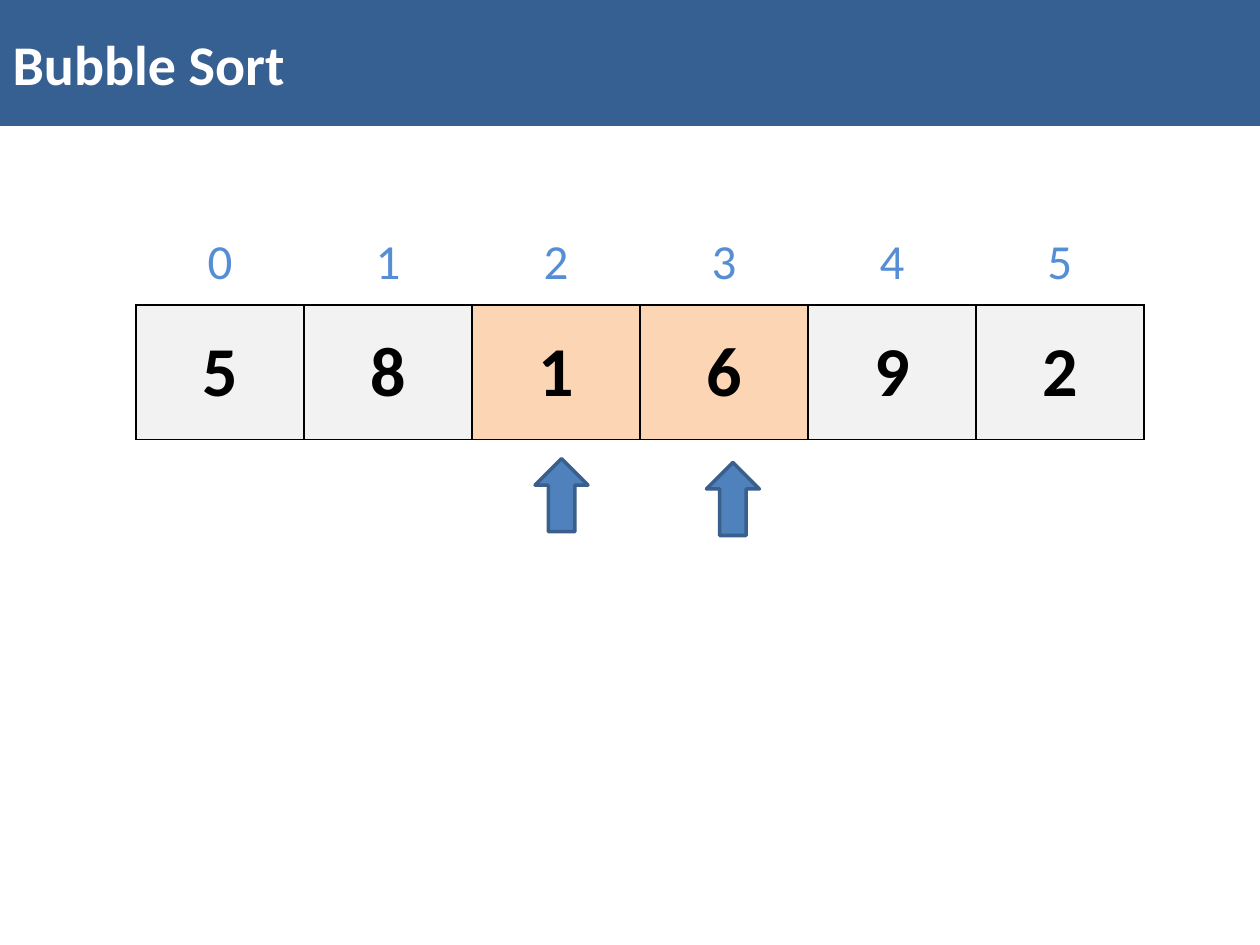
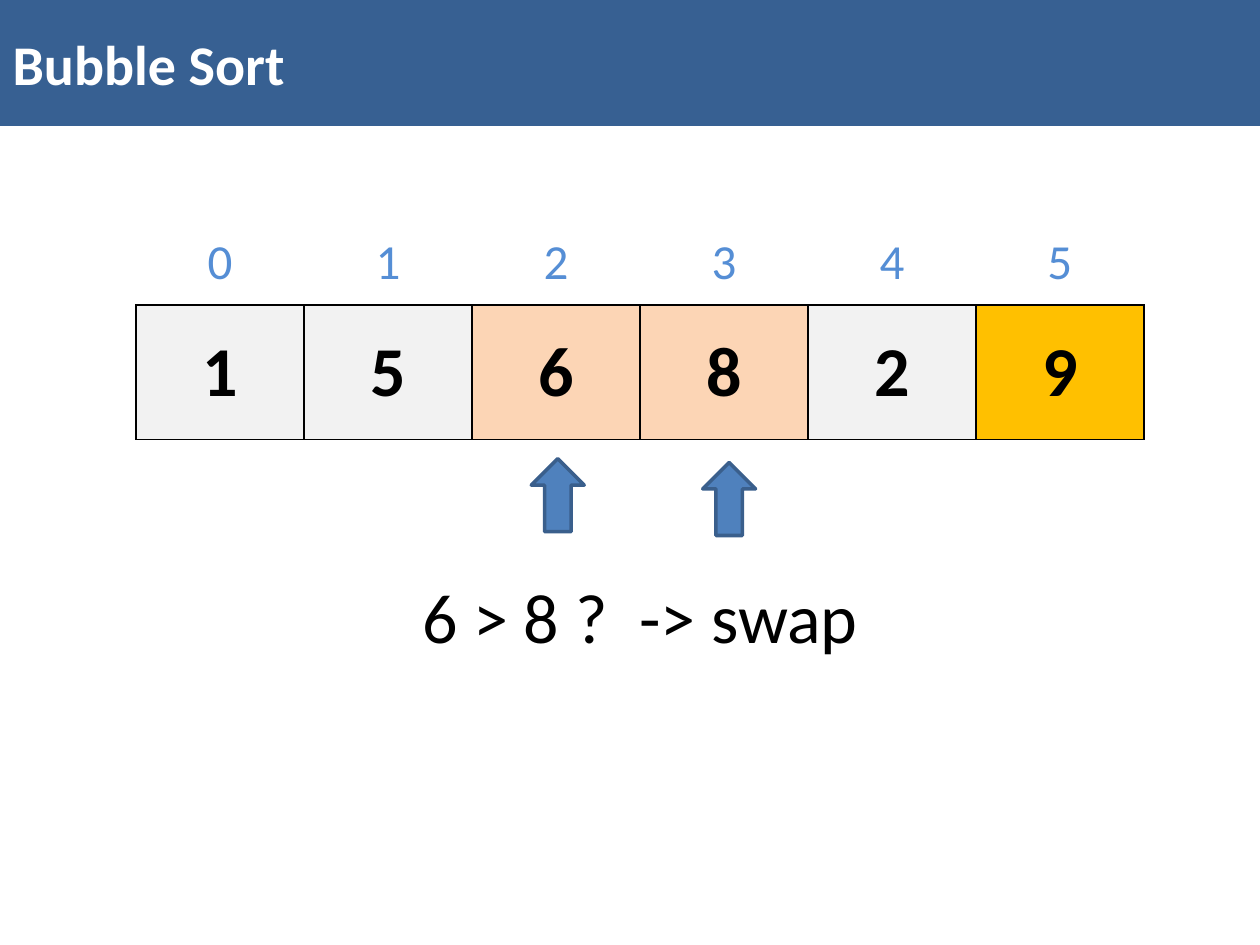
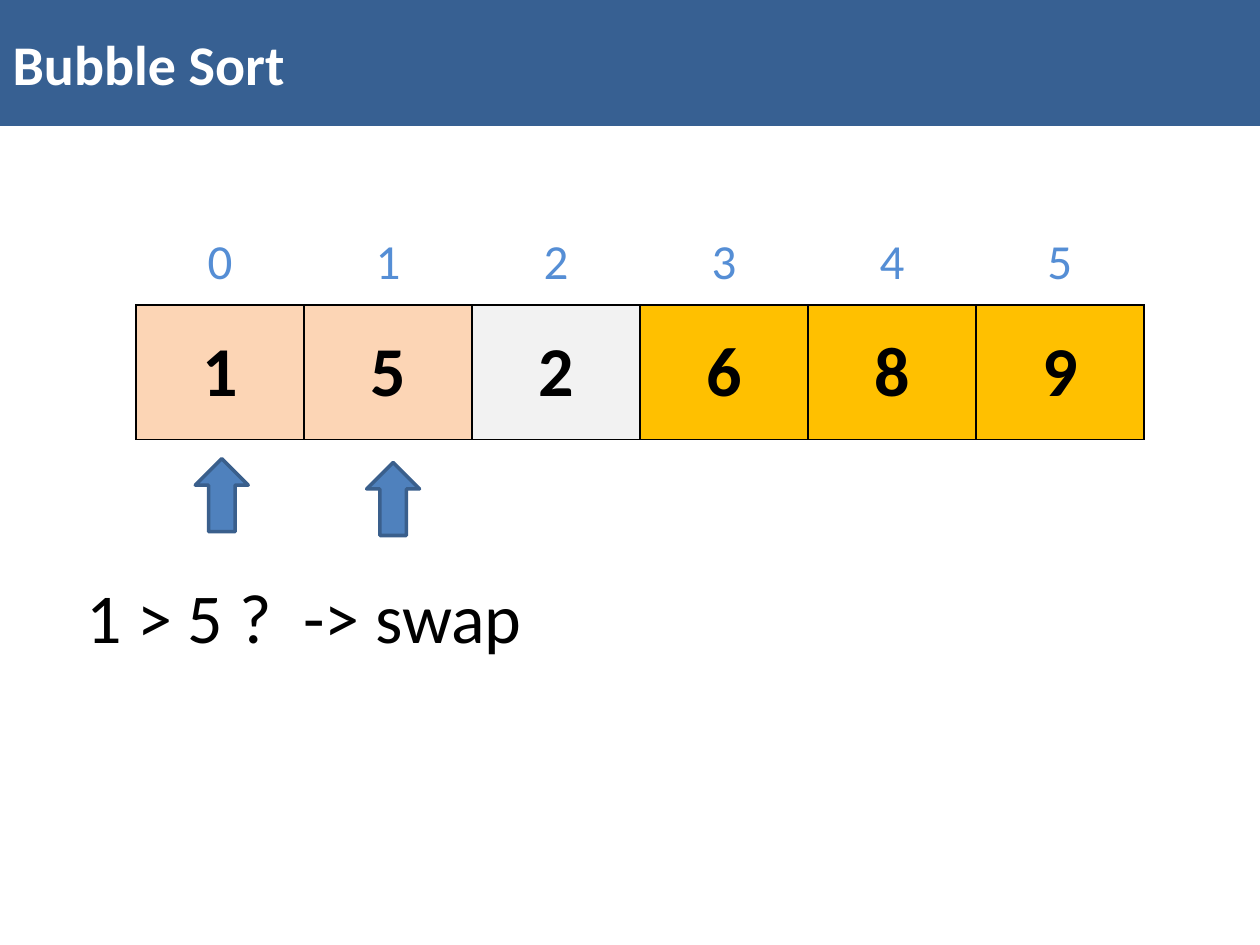
from lxml.etree import SubElement
from pptx import Presentation
from pptx.dml.color import RGBColor
from pptx.enum.shapes import MSO_SHAPE
from pptx.enum.text import MSO_ANCHOR, MSO_AUTO_SIZE, PP_ALIGN
from pptx.oxml.ns import qn
from pptx.util import Inches, Pt

# Colours and font
FONT = "Calibri"
BLACK = RGBColor(0, 0, 0)
WHITE = RGBColor(255, 255, 255)
BAND = RGBColor(0x37, 0x60, 0x92)
INDEX = RGBColor(0x55, 0x8E, 0xD5)
ARROW = RGBColor(0x4F, 0x81, 0xBD)
EDGE = RGBColor(0x3A, 0x5F, 0x8C)
PLAIN = RGBColor(0xF2, 0xF2, 0xF2)
PAIR = RGBColor(0xFC, 0xD5, 0xB5)
DONE = RGBColor(0xFF, 0xC0, 0)

# Array grid, in inches
COUNT = 6
LEFT, WIDTH = 1.08, 8
CELL = WIDTH / COUNT

# Values, first index of the pair, sorted count, arrow shift, question
STEPS = [
    ("581692", 2, 0, 0.03, None),
    ("156829", 2, 1, 0, "6 > 8 ?  -> swap"),
    ("152689", 0, 3, 0, "1 > 5 ?  -> swap"),
]


def write(frame, text, size=40, color=BLACK, bold=False, align=PP_ALIGN.CENTER):
    para = frame.paragraphs[0]
    para.alignment = align
    run = para.add_run()
    run.text = text
    font = run.font
    font.name, font.size, font.bold = FONT, Pt(size), bold
    font.color.rgb = color


def border(cell, color):
    props = cell._tc.get_or_add_tcPr()
    for side in ("a:lnL", "a:lnR", "a:lnT", "a:lnB"):
        line = SubElement(props, qn(side), w=str(Pt(1)))
        if color is None:
            SubElement(line, qn("a:noFill"))
        else:
            fill = SubElement(line, qn("a:solidFill"))
            SubElement(fill, qn("a:srgbClr"), val=str(color))


class Deck:
    def __init__(self):
        self.show = Presentation()
        self.show.slide_width = Inches(10)
        self.show.slide_height = Inches(7.5)

    def start(self, text):
        self.slide = self.show.slides.add_slide(self.show.slide_layouts[5])
        title = self.slide.shapes.title
        title.left, title.top = Inches(0), Inches(0)
        title.width, title.height = Inches(10), Inches(1)
        title.fill.solid()
        title.fill.fore_color.rgb = BAND
        frame = title.text_frame
        frame.auto_size = MSO_AUTO_SIZE.NONE
        frame.vertical_anchor = MSO_ANCHOR.MIDDLE
        write(frame, text, size=32, color=WHITE, bold=True, align=PP_ALIGN.LEFT)

    def row(self, top, height, texts, fills=None, edge=None, **style):
        table = self.slide.shapes.add_table(
            1, COUNT, Inches(LEFT), Inches(top), Inches(WIDTH), Inches(height)
        ).table
        table.first_row = table.horz_banding = False
        for pos, text in enumerate(texts):
            cell = table.cell(0, pos)
            cell.vertical_anchor = MSO_ANCHOR.MIDDLE
            border(cell, edge)
            if fills:
                cell.fill.solid()
                cell.fill.fore_color.rgb = fills[pos]
            else:
                cell.fill.background()
            write(cell.text_frame, text, **style)

    def arrow(self, left, top):
        shape = self.slide.shapes.add_shape(
            MSO_SHAPE.DOWN_ARROW, Inches(left), Inches(top), Inches(0.42), Inches(0.58)
        )
        shape.rotation = 180
        shape.shadow.inherit = False
        shape.fill.solid()
        shape.fill.fore_color.rgb = ARROW
        shape.line.color.rgb = EDGE
        shape.line.width = Pt(2)

    def label(self, mid, top, text):
        box = self.slide.shapes.add_textbox(
            Inches(mid - 2), Inches(top), Inches(4), Inches(0.77)
        )
        box.text_frame.word_wrap = True
        box.text_frame.auto_size = MSO_AUTO_SIZE.SHAPE_TO_FIT_TEXT
        write(box.text_frame, text)


def main():
    deck = Deck()
    for values, first, done, shift, ask in STEPS:
        deck.start("Bubble Sort")

        # Array with its index row
        fills = [PLAIN] * (COUNT - done) + [DONE] * done
        fills[first:first + 2] = [PAIR, PAIR]
        deck.row(2.42, 1.07, values, fills, edge=BLACK, bold=True)
        deck.row(1.75, 0.67, map(str, range(COUNT)), size=28, color=INDEX)

        # Compared pair
        left = LEFT + first * CELL
        for step in range(2):
            deck.arrow(left + 0.47 + shift + step * 1.36, 3.64 + step * 0.03)
        if ask:
            deck.label(left + CELL, 4.5, ask)
    deck.show.save("out.pptx")


if __name__ == "__main__":
    main()
